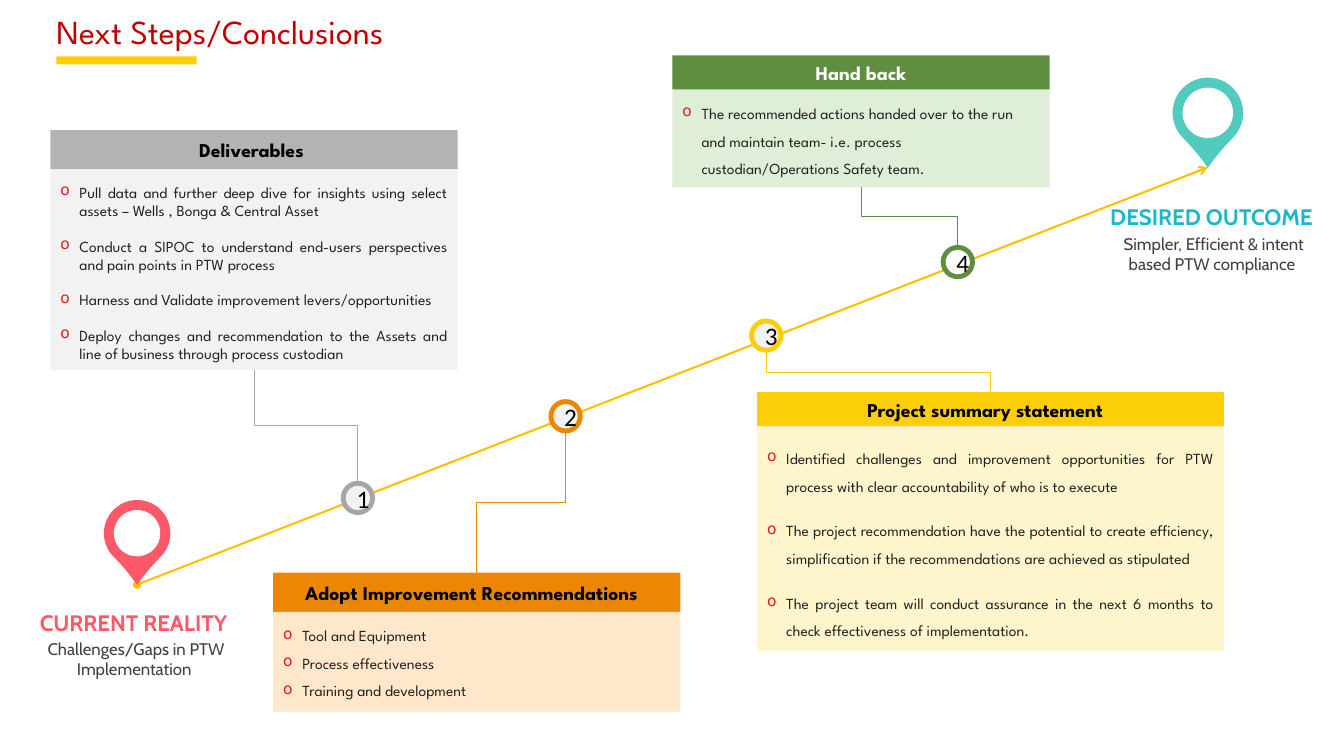
from lxml import etree
from pptx import Presentation
from pptx.dml.color import RGBColor
from pptx.enum.shapes import MSO_CONNECTOR, MSO_SHAPE
from pptx.enum.text import MSO_ANCHOR, MSO_AUTO_SIZE, PP_ALIGN
from pptx.oxml.ns import qn
from pptx.util import Pt

PX = 9144  # 100 px to the inch
RECT, OVAL, TEAR = MSO_SHAPE.RECTANGLE, MSO_SHAPE.OVAL, MSO_SHAPE.TEAR
LINE, ELBOW = MSO_CONNECTOR.STRAIGHT, MSO_CONNECTOR.ELBOW
TOP, MIDDLE = MSO_ANCHOR.TOP, MSO_ANCHOR.MIDDLE
LEFT, CENTER, JUSTIFY = PP_ALIGN.LEFT, PP_ALIGN.CENTER, PP_ALIGN.JUSTIFY
SPARTAN, CABIN, CALIBRI = "League Spartan", "Cabin", "Calibri"

BLACK = RGBColor(0x00, 0x00, 0x00)
WHITE = RGBColor(0xFF, 0xFF, 0xFF)
INK = RGBColor(0x20, 0x20, 0x20)
SLATE = RGBColor(0x40, 0x40, 0x40)
PALE = RGBColor(0xF2, 0xF2, 0xF2)
SILVER = RGBColor(0xB3, 0xB3, 0xB3)
GREY = RGBColor(0xA6, 0xA6, 0xA6)
ORANGE = RGBColor(0xEB, 0x87, 0x05)
PEACH = RGBColor(0xFE, 0xE7, 0xCA)
YELLOW = RGBColor(0xFB, 0xCE, 0x07)
CREAM = RGBColor(0xFE, 0xF5, 0xCD)
GREEN = RGBColor(0x5F, 0x8E, 0x40)
MINT = RGBColor(0xDF, 0xEE, 0xD6)
GOLD = RGBColor(0xFF, 0xC0, 0x00)
CORAL = RGBColor(0xFF, 0x59, 0x69)
TEAL = RGBColor(0x52, 0xCB, 0xBE)
CYAN = RGBColor(0x1D, 0xB7, 0xC9)
CRIMSON = RGBColor(0xC0, 0x00, 0x00)
RED = "DD1D21"

RING = 34
# number, left, top, ring colour, inner colour
STEPS = [
    ("1", 338, 477, GREY, PALE),
    ("2", 544, 396, ORANGE, PALE),
    ("3", 743, 316, YELLOW, PALE),
    ("4", 933, 243, GREEN, WHITE),
]
# box, header height, title, title colour, header fill, body fill,
# alignment, line spacing, paragraph gap in points, items
CARDS = [
    ((50, 129, 404, 238), 39, "Deliverables ", BLACK, SILVER, PALE,
     JUSTIFY, 1.0, 6, [
         "Pull data and further deep dive for insights using select assets – Wells , Bonga & Central Asset",
         "Conduct a SIPOC to understand end-users perspectives and pain points in PTW process",
         "Harness and Validate improvement levers/opportunities",
         "Deploy changes and recommendation to the Assets and line of business through process custodian",
     ]),
    ((271, 568, 404, 138), 39, "Adopt Improvement Recommendations  ", BLACK,
     ORANGE, PEACH, JUSTIFY, 1.5, 0, [
         "Tool and Equipment",
         "Process effectiveness",
         "Training and development",
     ]),
    ((751, 389, 463, 257), 34, "Project summary statement  ", BLACK,
     YELLOW, CREAM, JUSTIFY, 1.5, 6, [
         "Identified challenges and improvement opportunities for PTW process with clear accountability of who is to execute",
         "The project recommendation have the potential to create efficiency, simplification if the recommendations are achieved as stipulated",
         "The project team will conduct assurance in the next 6 months to check effectiveness of implementation.",
     ]),
    ((667, 55, 374, 131), 34, "Hand back", WHITE, GREEN, MINT,
     LEFT, 1.5, 0, [
         "The recommended actions handed over to the run and maintain team- i.e. process custodian/Operations Safety team.",
     ]),
]


def emu(*px):
    return [round(n * PX) for n in px]


def block(slide, kind, box, fill):
    shape = slide.shapes.add_shape(kind, *emu(*box))
    shape.shadow.inherit = False
    shape.fill.solid()
    shape.fill.fore_color.rgb = fill
    shape.line.fill.background()
    return shape


def style(para, face, size, color, bold=False, align=CENTER):
    para.alignment = align
    for run in para.runs:
        font = run.font
        font.name, font.size, font.bold = face, Pt(size), bold
        font.color.rgb = color


def label(shape, text, *look):
    frame = shape.text_frame
    frame.word_wrap = True
    frame.text = text
    style(frame.paragraphs[0], *look)


def bullet(para):
    props = para._p.get_or_add_pPr()
    props.set("marL", str(19 * PX))
    props.set("indent", str(-19 * PX))
    tint = etree.SubElement(props, qn("a:buClr"))
    etree.SubElement(tint, qn("a:srgbClr"), val=RED)
    etree.SubElement(props, qn("a:buChar"), char="o")


def heading(slide):
    title = slide.shapes.title
    title.left, title.top, title.width, title.height = emu(56, 11, 1222, 82)
    frame = title.text_frame
    frame.auto_size = MSO_AUTO_SIZE.NONE
    frame.margin_left = frame.margin_right = 0
    frame.margin_top = frame.margin_bottom = 0
    label(title, "Next Steps/Conclusions", SPARTAN, 24, CRIMSON, False, LEFT)
    frame.vertical_anchor = TOP
    block(slide, RECT, (56, 56, 139, 8), YELLOW)


def card(slide, box, head, title, ink, dark, light, align, lead, gap, items):
    x, y, w, h = box
    bar = block(slide, RECT, (x, y, w, head), dark)
    label(bar, title, SPARTAN, 14, ink, True)
    body = block(slide, RECT, (x, y + head, w, h - head), light)
    frame = body.text_frame
    frame.word_wrap = True
    frame.vertical_anchor = TOP
    frame.margin_top = 5 * PX + Pt(gap)
    frame.text = "\n".join(items)
    for i, para in enumerate(frame.paragraphs):
        bullet(para)
        para.line_spacing = lead
        para.space_before = Pt(gap if i else 0)
        para.space_after = Pt(gap)
        style(para, SPARTAN, 11, INK, False, align)


def step(slide, num, x, y, color, inner):
    block(slide, OVAL, (x, y, RING, RING), color)
    disc = block(slide, OVAL, (x + 5, y + 5, RING - 10, RING - 10), inner)
    disc.text_frame.vertical_anchor = MIDDLE
    label(disc, num, CALIBRI, 18, BLACK)


def pin(slide, x, y, size, color):
    drop = block(slide, TEAR, (x, y, size, size), color)
    drop.adjustments[0] = 1.1
    drop.rotation = 135
    block(slide, OVAL, (x + 10, y + 10, size - 20, size - 20), WHITE)


def caption(slide, x, y, title, color, text):
    top = slide.shapes.add_textbox(*emu(x, y, 250, 37))
    label(top, title, CABIN, 16, color, True)
    sub = slide.shapes.add_textbox(*emu(x + 24, y + 30, 202, 50))
    label(sub, text, CABIN, 12, SLATE)


def link(slide, kind, ends, color, width):
    wire = slide.shapes.add_connector(kind, *emu(*ends))
    wire.line.color.rgb = color
    wire.line.width = Pt(width)
    etree.SubElement(wire._element.spPr, qn("a:effectLst"))
    return wire


def elbow(slide, x1, y1, x2, y2, color):
    """Join two points by a line that leaves and arrives vertically."""
    run, drop = abs(x2 - x1), y2 - y1
    x, y = (x1 + x2 - drop) / 2, (y1 + y2 - run) / 2
    wire = link(slide, ELBOW, (x, y, x + drop, y + run), color, 0.75)
    frame = wire._element.spPr.find(qn("a:xfrm"))
    frame.set("rot", str((270 if x2 > x1 else 90) * 60000))
    if x2 > x1:
        frame.set("flipH", "1")


def trend(slide):
    wire = link(slide, LINE, (136, 580, 1198, 166), GOLD, 1.5)
    line = wire.line._get_or_add_ln()
    etree.SubElement(line, qn("a:headEnd"), type="oval")
    etree.SubElement(line, qn("a:tailEnd"), type="arrow")


def wires(slide):
    """Tie each numbered step to its card."""
    for (num, x, y, color, inner), (box, *rest) in zip(STEPS, CARDS):
        left, top, w, h = box
        mid, hub = left + w / 2, x + RING / 2
        if top < y:
            elbow(slide, mid, top + h, hub, y, color)
        else:
            elbow(slide, hub, y + RING, mid, top, color)


def main():
    deck = Presentation()
    deck.slide_width, deck.slide_height = emu(1333, 750)
    slide = deck.slides.add_slide(deck.slide_layouts[5])
    heading(slide)
    trend(slide)
    for item in STEPS:
        step(slide, *item)
    pin(slide, 103, 496, 66, CORAL)
    caption(slide, 10, 599, "CURRENT REALITY ", CORAL,
            "Challenges/Gaps in PTW Implementation ")
    pin(slide, 1163, 77, 70, TEAL)
    caption(slide, 1079, 197, "DESIRED OUTCOME ", CYAN,
            "Simpler, Efficient & intent based PTW compliance ")
    for item in CARDS:
        card(slide, *item)
    wires(slide)
    deck.save("out.pptx")


if __name__ == "__main__":
    main()
